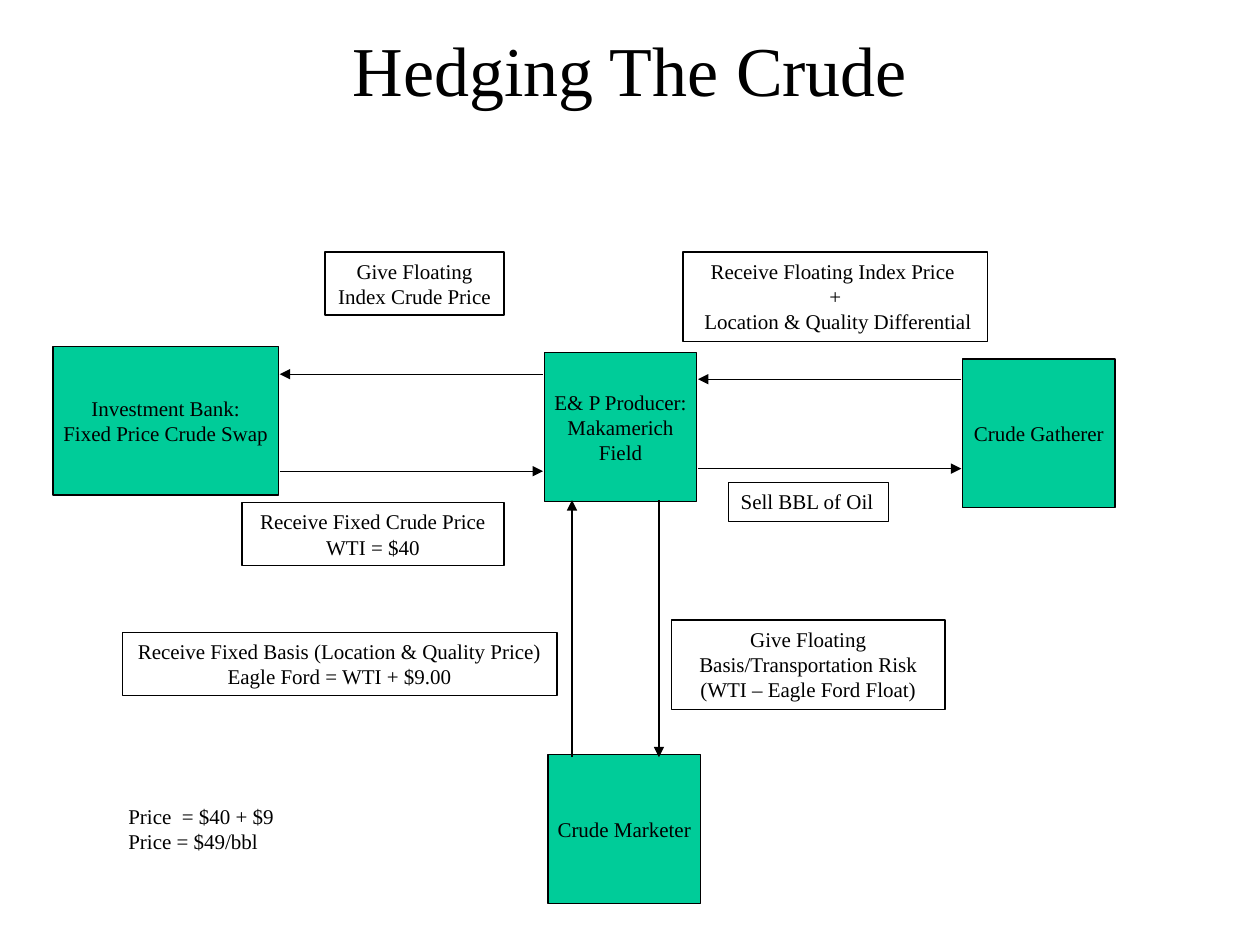
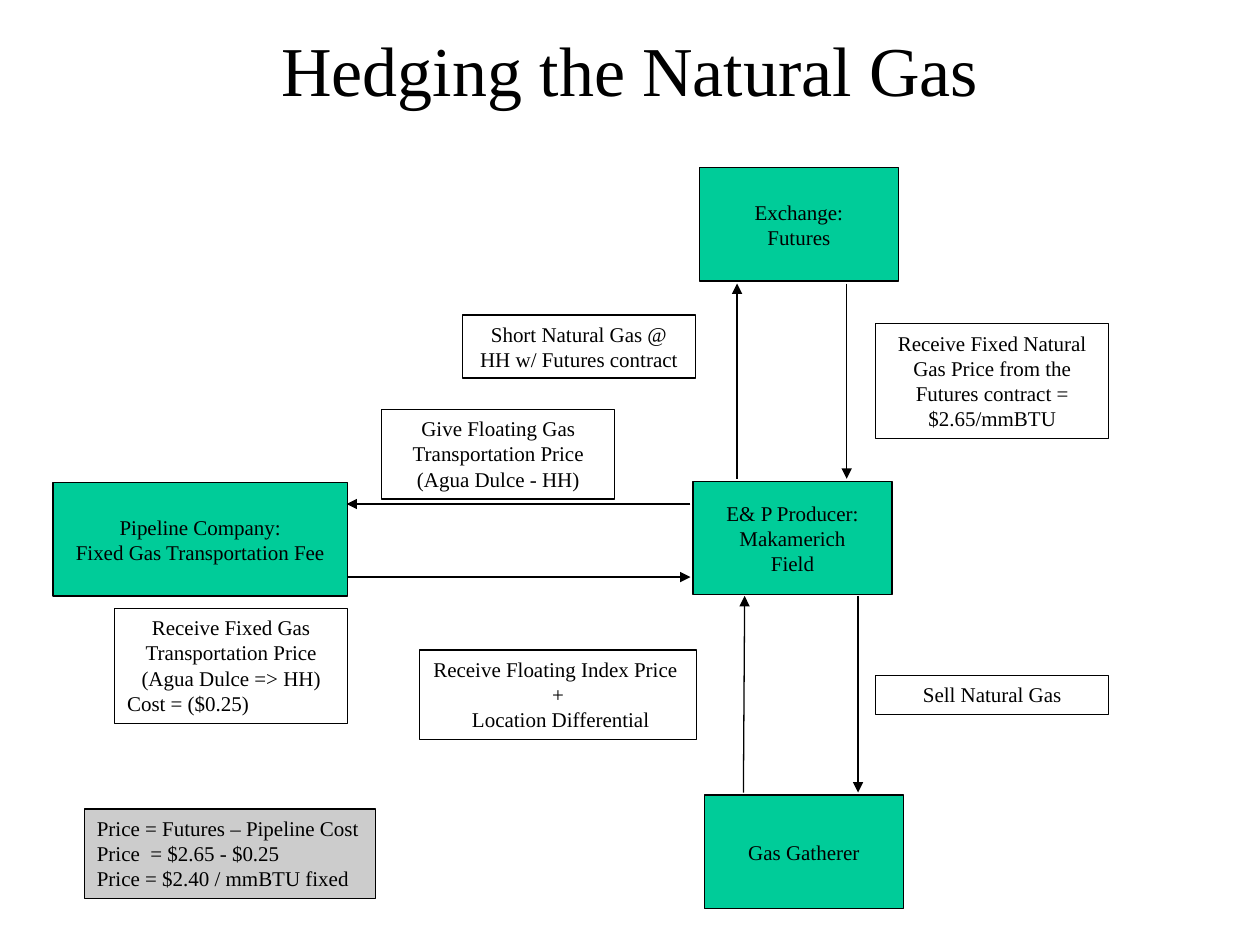
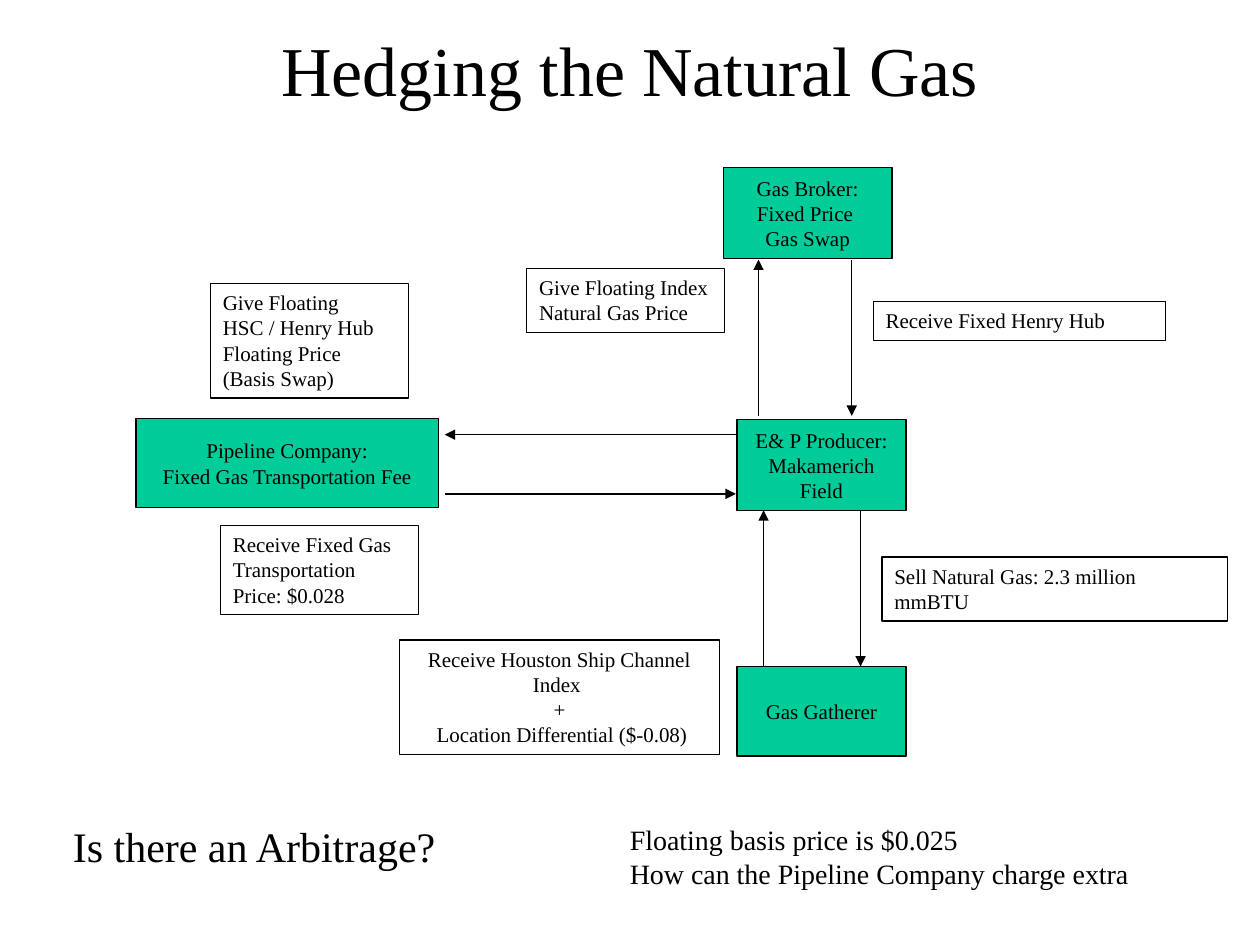
from lxml import etree
from pptx import Presentation
from pptx.dml.color import RGBColor as Rgb
from pptx.enum.shapes import MSO_CONNECTOR as Conn, MSO_SHAPE as Shape
from pptx.enum.text import MSO_ANCHOR as Anchor, MSO_AUTO_SIZE as Auto, PP_ALIGN as Align
from pptx.oxml.ns import qn
from pptx.util import Pt

PX = 9144  # 100 px to the inch
FONT = "Times New Roman"
COLOURS = {"ink": "000000", "node": "00CC99", "result": "CCCCCC"}
INK = Rgb.from_string(COLOURS["ink"])
LEFT, MID = Align.LEFT, Align.CENTER
FIELD = "E& P Producer:\nMakamerich\nField"
PIPE = "Pipeline Company:\nFixed Gas Transportation Fee"


def box(slide, at, text, fill=None, align=LEFT, size=12, anchor=Anchor.TOP,
        wrap=False, line=True):
    spot = [n * PX for n in at]
    if line:
        shape = slide.shapes.add_shape(Shape.RECTANGLE, *spot)
        shape.shadow.inherit = False
        shape.line.color.rgb = INK
        shape.line.width = Pt(0.75)
    else:
        shape = slide.shapes.add_textbox(*spot)
    if fill:
        shape.fill.solid()
        shape.fill.fore_color.rgb = Rgb.from_string(COLOURS[fill])
    else:
        shape.fill.background()
    frame = shape.text_frame
    frame.text = text
    frame.word_wrap = wrap
    frame.vertical_anchor = anchor
    frame.auto_size = Auto.SHAPE_TO_FIT_TEXT if anchor == Anchor.TOP else Auto.NONE
    for para in frame.paragraphs:
        para.alignment = align
        for run in para.runs:
            run.font.name = FONT
            run.font.size = Pt(size)
            run.font.color.rgb = INK
    return shape


def arrow(slide, ends):
    link = slide.shapes.add_connector(Conn.STRAIGHT, *[n * PX for n in ends])
    link.line.color.rgb = INK
    link.line.width = Pt(0.75)
    etree.SubElement(link.line._get_or_add_ln(), qn("a:tailEnd"), type="triangle")
    etree.SubElement(link._element.spPr, qn("a:effectLst"))


# Each slide: nodes (at, text), labels (at, text, align),
# arrows (from x, y, to x, y), notes (at, text, size)
crude = {
    "title": "Hedging The Crude",
    "nodes": [
        ((764, 285, 121, 118), "Crude Gatherer"),
        ((432, 280, 121, 118), FIELD),
        ((435, 599, 121, 118), "Crude Marketer"),
        ((42, 275, 179, 118), "Investment Bank:\nFixed Price Crude Swap"),
    ],
    "labels": [
        ((578, 383, 127, 31), "Sell BBL of Oil", LEFT),
        ((542, 200, 242, 71),
         "Receive Floating Index Price \n+\n Location & Quality Differential", MID),
        ((533, 492, 217, 71),
         "Give Floating Basis/Transportation Risk (WTI – Eagle Ford Float)", MID),
        ((97, 502, 345, 50),
         "Receive Fixed Basis (Location & Quality Price)\nEagle Ford = WTI + $9.00", MID),
        ((258, 200, 142, 50), "Give Floating Index Crude Price", MID),
        ((192, 399, 208, 50), "Receive Fixed Crude Price WTI = $40", MID),
    ],
    "arrows": [(554, 372, 763, 372), (763, 301, 554, 301),
               (454, 601, 454, 397), (523, 397, 523, 601),
               (222, 374, 431, 374), (431, 297, 222, 297)],
    "notes": [((92, 633, 141, 50), "Price  = $40 + $9\nPrice = $49/bbl", 12)],
}

futures = {
    "title": "Hedging the Natural Gas",
    "nodes": [
        ((550, 382, 158, 90), FIELD),
        ((559, 631, 158, 90), "Gas Gatherer"),
        ((555, 133, 158, 90), "Exchange:\nFutures"),
        ((42, 383, 234, 90), PIPE),
    ],
    "labels": [
        ((695, 536, 185, 31), "Sell Natural Gas", MID),
        ((333, 516, 220, 71),
         "Receive Floating Index Price \n+\n Location Differential", MID),
        ((695, 257, 185, 91),
         "Receive Fixed Natural Gas Price from the Futures contract = $2.65/mmBTU", MID),
        ((367, 250, 185, 50), "Short Natural Gas @ HH w/ Futures contract", MID),
        ((303, 325, 185, 71),
         "Give Floating Gas Transportation Price (Agua Dulce - HH)", MID),
    ],
    "arrows": [(590, 629, 591, 473), (681, 473, 681, 629),
               (585, 380, 585, 225), (672, 225, 672, 380),
               (275, 458, 548, 458), (548, 400, 275, 400)],
    "notes": [],
}

swap = {
    "title": "Hedging the Natural Gas",
    "nodes": [
        ((585, 333, 134, 72), FIELD),
        ((585, 529, 134, 71), "Gas Gatherer"),
        ((574, 133, 134, 72), "Gas Broker:\nFixed Price \nGas Swap"),
        ((108, 332, 240, 71), PIPE),
    ],
    "labels": [
        ((418, 213, 157, 51), "Give Floating Index Natural Gas Price", LEFT),
        ((167, 225, 157, 91),
         "Give Floating HSC / Henry Hub Floating Price (Basis Swap)", LEFT),
        ((175, 417, 157, 71), "Receive Fixed Gas Transportation Price: $0.028", LEFT),
        ((693, 239, 232, 31), "Receive Fixed Henry Hub", LEFT),
        ((317, 508, 254, 91),
         "Receive Houston Ship Channel Index \n+\n Location Differential ($-0.08)", MID),
        ((700, 442, 274, 51), "Sell Natural Gas: 2.3 million mmBTU", LEFT),
    ],
    "arrows": [(606, 529, 606, 405), (683, 405, 683, 529),
               (602, 330, 602, 206), (676, 206, 676, 330),
               (353, 392, 584, 392), (584, 345, 353, 345)],
    "notes": [
        ((48, 646, 310, 50), "Is there an Arbitrage?", 24),
        ((490, 648, 418, 64),
         "Floating basis price is $0.025\nHow can the Pipeline Company charge extra", 16),
    ],
}

deck = Presentation()
deck.slide_width, deck.slide_height = 1000 * PX, 750 * PX
blank = deck.slide_layouts[6]

for page in (crude, futures, swap):
    slide = deck.slides.add_slide(blank)
    box(slide, (0, 0, 1000, 108), page["title"], align=MID, size=40,
        anchor=Anchor.MIDDLE, wrap=True, line=False)
    for at, text in page["nodes"]:
        box(slide, at, text, "node", MID, anchor=Anchor.MIDDLE)
    for ends in page["arrows"]:
        arrow(slide, ends)
    for at, text, align in page["labels"]:
        box(slide, at, text, align=align, wrap=True)
    for at, text, size in page["notes"]:
        box(slide, at, text, size=size, line=False)

    # Cost and net price of the futures hedge
    if page is futures:
        cost = box(slide, (91, 483, 185, 91),
                   "Receive Fixed Gas Transportation Price (Agua Dulce => HH)\n"
                   "Cost = ($0.25)", align=MID, wrap=True)
        cost.text_frame.paragraphs[-1].alignment = LEFT
        box(slide, (67, 642, 231, 71),
            "Price = Futures – Pipeline Cost\nPrice  = $2.65 - $0.25\n"
            "Price = $2.40 / mmBTU fixed", "result")

deck.save("out.pptx")
